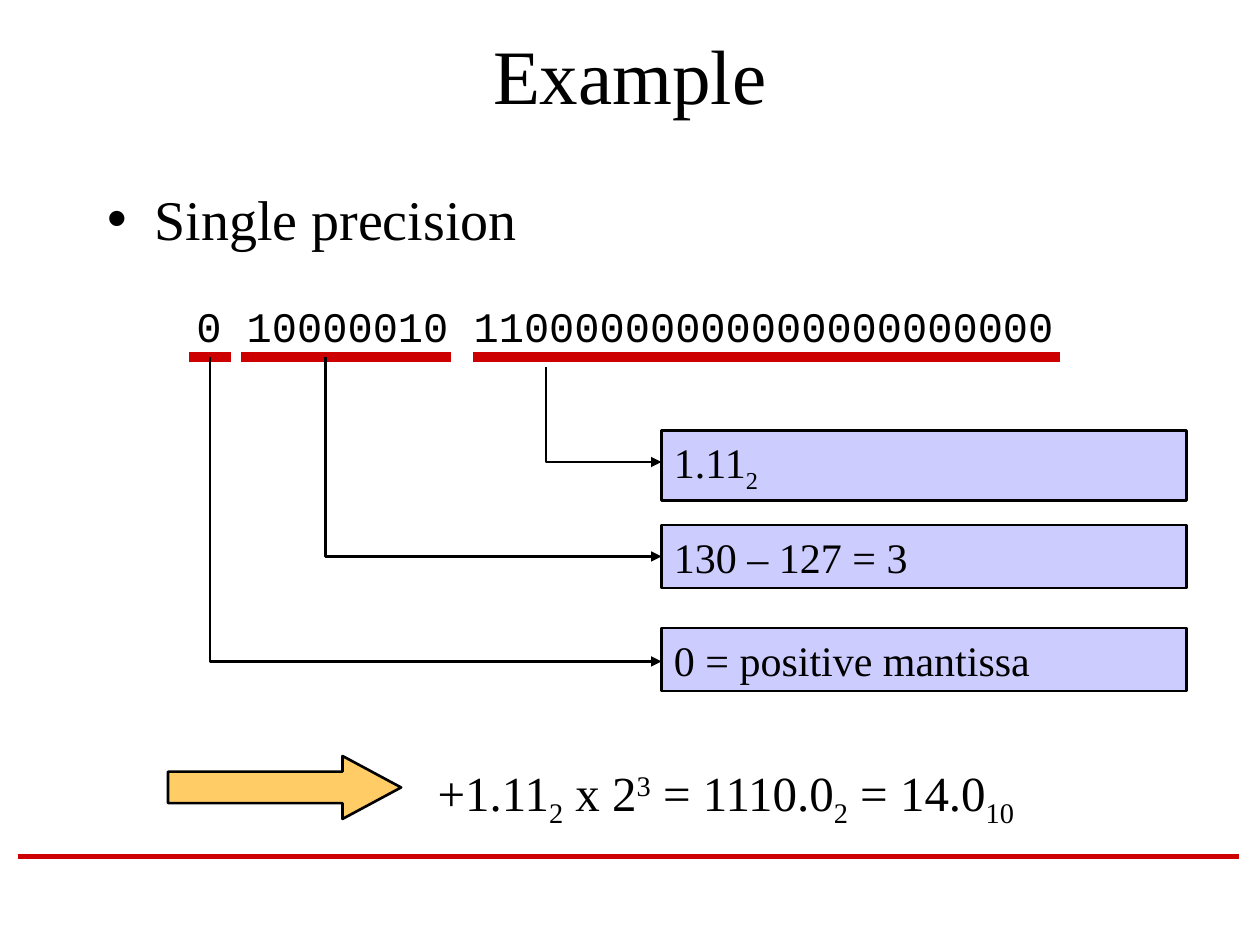
from pptx import Presentation
from pptx.dml.color import RGBColor
from pptx.enum.shapes import MSO_CONNECTOR, MSO_SHAPE
from pptx.enum.text import MSO_ANCHOR, MSO_AUTO_SIZE, PP_ALIGN
from pptx.oxml.ns import qn
from pptx.util import Pt
from lxml.etree import SubElement

PX = 7620  # 120 px to the inch
COLORS = {"ink": "000000", "red": "CC0000", "box": "CCCCFF", "arrow": "FFCC66"}
RGB = {name: RGBColor.from_string(h) for name, h in COLORS.items()}
SERIF, MONO = "Times New Roman", "Courier New"


def write(s, runs, size, font=SERIF, align=PP_ALIGN.LEFT, anchor=MSO_ANCHOR.TOP):
    """Fill a shape with one paragraph of (text, baseline percent) runs."""
    tf = s.text_frame
    frame = {"word_wrap": True, "auto_size": MSO_AUTO_SIZE.NONE, "vertical_anchor": anchor}
    for name, value in frame.items():
        setattr(tf, name, value)
    p = tf.paragraphs[0]
    p.alignment = align
    for text, baseline in runs:
        r = p.add_run()
        r.text = text
        r.font.name, r.font.size = font, Pt(size)
        r.font.color.rgb = RGB["ink"]
        if baseline:
            r.font._element.set("baseline", str(baseline * 1000))


def rule(x1, x2, y, width):
    """Draw a red horizontal line."""
    c = s_shapes.add_connector(MSO_CONNECTOR.STRAIGHT, x1 * PX, y * PX, x2 * PX, y * PX)
    c.line.color.rgb, c.line.width = RGB["red"], Pt(width)
    SubElement(c._element.spPr, qn("a:effectLst"))


prs = Presentation()
prs.slide_width, prs.slide_height = 1200 * PX, 900 * PX
slide = prs.slides.add_slide(prs.slide_layouts[1])
s_shapes = slide.shapes

rule(17, 1180, 816, 3)

# Title and bullet
title, body = slide.placeholders
for sp, top, height in [(title, 20, 100), (body, 170, 540)]:
    sp.left, sp.top, sp.width, sp.height = 90 * PX, top * PX, 1020 * PX, height * PX
write(title, [("Example", 0)], 44, align=PP_ALIGN.CENTER, anchor=MSO_ANCHOR.MIDDLE)
write(body, [("Single precision", 0)], 32)

# Bit pattern, with sign, exponent and mantissa underlined
bits = s_shapes.add_textbox(130 * PX, 280 * PX, 930 * PX, 60 * PX)
write(bits, [("0 10000010 11000000000000000000000", 0)], 24, MONO, PP_ALIGN.CENTER)
for x1, x2 in [(180, 220), (230, 430), (450, 1010)]:
    rule(x1, x2, 340, 6)

# Each field's meaning: box top, height, text, then the elbow's start and end
BOX_LEFT, BOX_WIDTH = 630, 500
meanings = [
    (410, 67, [("1.11", 0), ("2", -25)], 520, 350, 440),
    (500, 60, [("130 – 127 = 3", 0)], 310, 340, 530),
    (598, 60, [("0 = positive mantissa", 0)], 200, 340, 630),
]
for top, height, runs, x, y1, y2 in meanings:
    box = s_shapes.add_shape(MSO_SHAPE.RECTANGLE, BOX_LEFT * PX, top * PX,
                             BOX_WIDTH * PX, height * PX)
    box.fill.solid()
    box.fill.fore_color.rgb = RGB["box"]
    write(box, runs, 24)

    path = s_shapes.build_freeform(x, y1, scale=PX)
    path.add_line_segments([(x, y2), (BOX_LEFT, y2)], close=False)
    elbow = path.convert_to_shape()
    elbow.fill.background()
    for sp in (box, elbow):
        sp.shadow.inherit = False
        sp.line.color.rgb, sp.line.width = RGB["ink"], Pt(1.5)
    SubElement(elbow.line._get_or_add_ln(), qn("a:tailEnd"), type="triangle")

# Result
result = s_shapes.add_textbox(405 * PX, 720 * PX, 665 * PX, 75 * PX)
write(result, [("+1.11", 0), ("2", -25), (" x 2", 0), ("3", 30), (" = 1110.0", 0),
               ("2", -25), (" = 14.0", 0), ("10", -25)], 28)
arrow = s_shapes.add_shape(MSO_SHAPE.RIGHT_ARROW, 160 * PX, 720 * PX, 222 * PX, 60 * PX)
arrow.adjustments[1] = 0.93
arrow.shadow.inherit = False
arrow.fill.solid()
arrow.fill.fore_color.rgb = RGB["arrow"]
arrow.line.color.rgb, arrow.line.width = RGB["ink"], Pt(1.5)

prs.save("out.pptx")
